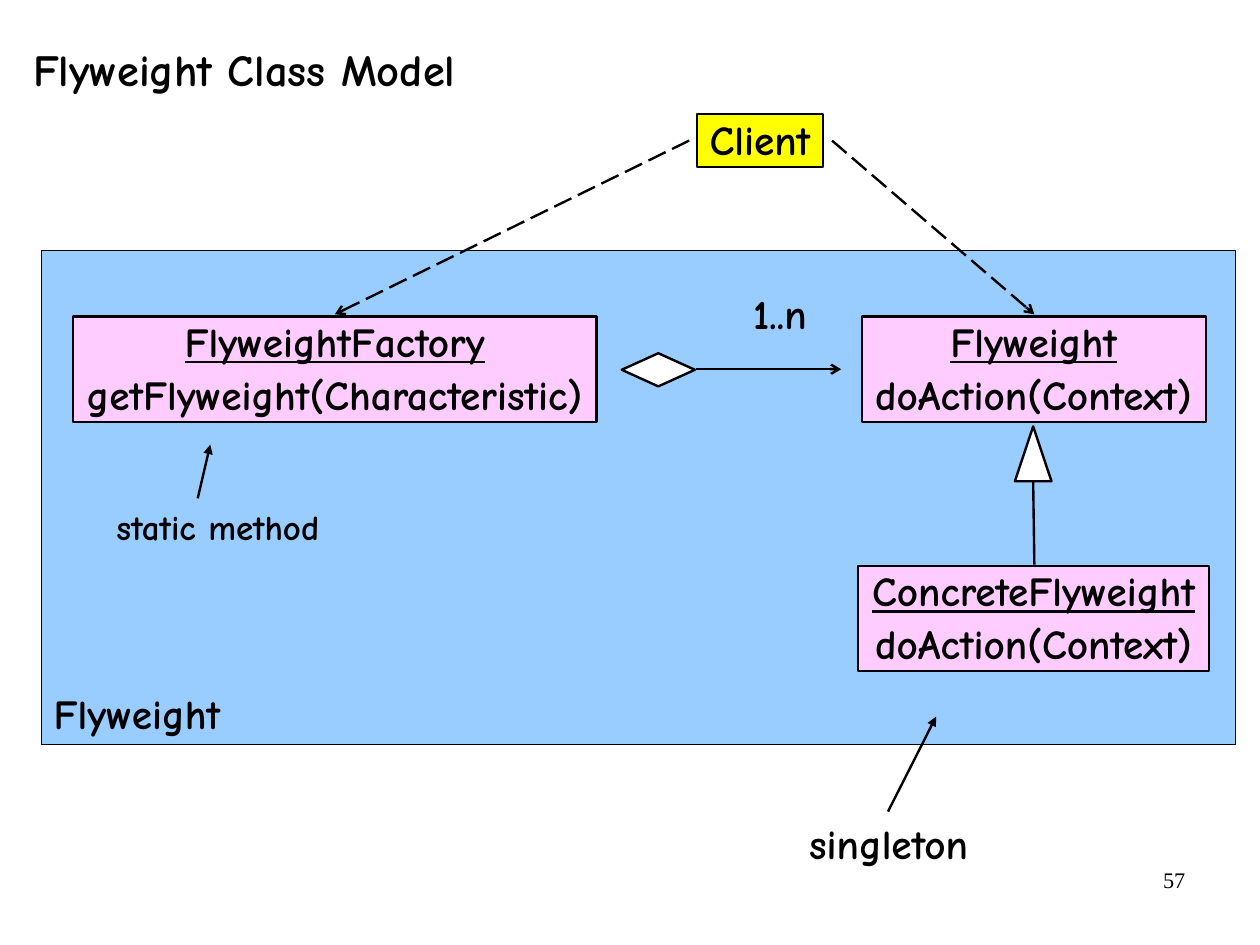
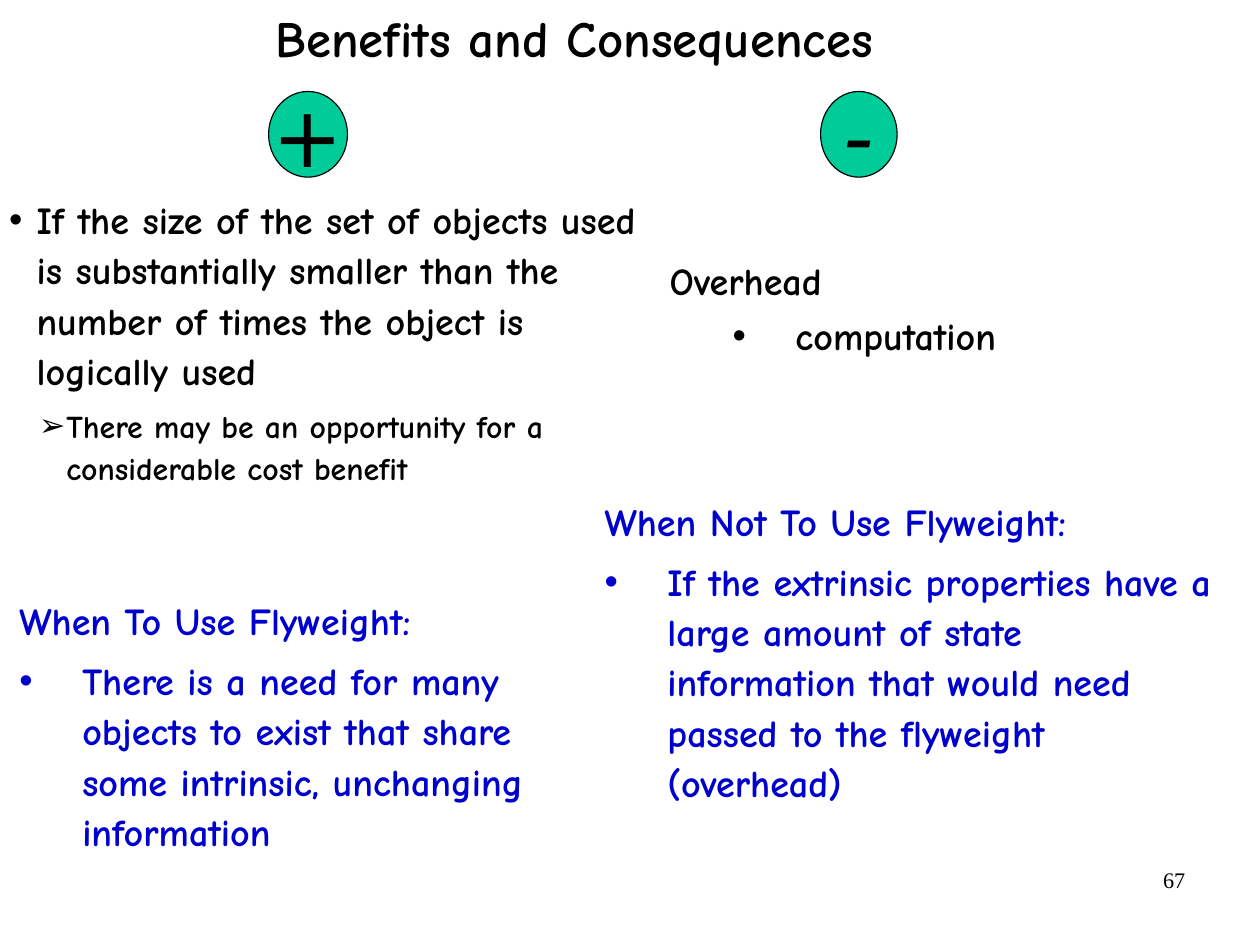
from pptx import Presentation
from pptx import util as u
from pptx.dml.color import RGBColor
from pptx.enum import dml, shapes, text
from pptx.oxml.ns import qn
from lxml import etree

PX = 9144  # EMU per px, 100 px to the inch
COLORS = {"ink": "000000", "panel": "99CCFF", "class": "FFCCFF", "client": "FFFF00",
          "symbol": "FFFFFF", "sign": "00CC99", "advice": "0000CC"}
STYLE = {"size": 26, "font": "Comic Neue", "bold": True, "italic": False, "underline": False,
         "color": "ink", "align": text.PP_ALIGN.LEFT, "spacing": 1.0, "before": 0,
         "margin": 0, "hang": 0, "bullet": None, "level": 0}
TOP, MIDDLE, BOTTOM = text.MSO_ANCHOR.TOP, text.MSO_ANCHOR.MIDDLE, text.MSO_ANCHOR.BOTTOM
CENTER, RIGHT = text.PP_ALIGN.CENTER, text.PP_ALIGN.RIGHT
FORM = shapes.MSO_SHAPE


def write(shape, lines, anchor=TOP, wrap=False, insets=(11, 6, 11, 6), **shared):
    """Fill a shape with (text, own style) lines on top of a shared style."""
    frame = shape.text_frame
    frame.auto_size = text.MSO_AUTO_SIZE.NONE
    frame.word_wrap = wrap
    frame.vertical_anchor = anchor
    (frame.margin_left, frame.margin_top,
     frame.margin_right, frame.margin_bottom) = [v * PX for v in insets]
    for i, (words, own) in enumerate(lines):
        style = {**STYLE, **shared, **own}
        p = frame.add_paragraph() if i else frame.paragraphs[0]
        p.text = words
        p.level = style["level"]
        p.alignment = style["align"]
        p.line_spacing = style["spacing"]
        p.space_before = u.Pt(style["before"] if i else 0)
        p.space_after = u.Pt(0)
        props = p._p.get_or_add_pPr()
        props.set("marL", str(style["margin"] * PX))
        props.set("indent", str(-style["hang"] * PX))
        if style["bullet"]:
            tint = etree.SubElement(props, qn("a:buClr"))
            etree.SubElement(tint, qn("a:srgbClr"), val=COLORS[style["color"]])
            etree.SubElement(props, qn("a:buChar"), char=style["bullet"])
        else:
            etree.SubElement(props, qn("a:buNone"))
        p.font.name = style["font"]
        p.font.size = u.Pt(style["size"])
        p.font.bold = style["bold"]
        p.font.italic = style["italic"]
        p.font.underline = style["underline"]
        p.font.color.rgb = RGBColor.from_string(COLORS[style["color"]])


def draw(slide, form, box, fill, weight):
    """Add a filled, black-edged preset shape."""
    shape = slide.shapes.add_shape(form, *[v * PX for v in box])
    shape.shadow.inherit = False
    shape.fill.solid()
    shape.fill.fore_color.rgb = RGBColor.from_string(COLORS[fill])
    shape.line.color.rgb = RGBColor.from_string(COLORS["ink"])
    shape.line.width = u.Pt(weight)
    return shape


# Page of 28 by 21 cm
prs = Presentation()
prs.slide_width, prs.slide_height = u.Emu(10080625), u.Emu(7559675)
model = prs.slides.add_slide(prs.slide_layouts.get_by_name("Title Only"))
benefits = prs.slides.add_slide(prs.slide_layouts.get_by_name("Comparison"))

# Titles and page numbers
for slide, title, box, title_style, number in [
    (model, "Flyweight Class Model", (18, 16, 476, 73),
     {"size": 28, "spacing": 0.88, "anchor": BOTTOM, "insets": (11, 5, 11, 5)}, "57"),
    (benefits, "Benefits and Consequences", (230, 0, 546, 64), {"size": 32}, "67"),
]:
    heading = slide.shapes.title
    heading.left, heading.top, heading.width, heading.height = [v * PX for v in box]
    write(heading, [(title, {})], **title_style)
    page = slide.shapes.add_textbox(*[v * PX for v in (790, 753, 257, 57)])
    write(page, [(number, {})], wrap=True, insets=(10, 5, 10, 5), size=14,
          font="Times New Roman", bold=False, align=RIGHT)

# Class model: package panel
package = draw(model, FORM.RECTANGLE, (36, 219, 1045, 432), "panel", 0.75)
write(package, [("Flyweight", {})], anchor=BOTTOM, wrap=True)

# Class model: classes, name underlined above its method
for box, fill, name, method in [
    ((754, 277, 301, 92), "class", "Flyweight", "doAction(Context)"),
    ((751, 495, 307, 92), "class", "ConcreteFlyweight", "doAction(Context)"),
    ((64, 277, 458, 92), "class", "FlyweightFactory", "getFlyweight(Characteristic)"),
    ((610, 100, 110, 46), "client", "Client", None),
]:
    members = [(name, {"underline": method is not None})]
    if method:
        members.append((method, {}))
    write(draw(model, FORM.RECTANGLE, box, fill, 1.5), members, anchor=MIDDLE,
          insets=(11, 17, 11, 6), align=CENTER, spacing=0.55, before=16.2)

# Class model: inheritance and aggregation symbols
draw(model, FORM.FLOWCHART_EXTRACT, (888, 373, 32, 48), "symbol", 1.5)
draw(model, FORM.FLOWCHART_DECISION, (544, 309, 64, 29), "symbol", 1.5)

# Class model: relations and pointers
for ends, head, dashed in [
    ((609, 323, 736, 323), "arrow", False),
    ((904, 421, 905, 494), None, False),
    ((603, 123, 293, 275), "arrow", True),
    ((728, 123, 905, 275), "arrow", True),
    ((173, 436, 184, 389), "triangle", False),
    ((777, 710, 819, 627), "triangle", False),
]:
    relation = model.shapes.add_connector(shapes.MSO_CONNECTOR.STRAIGHT,
                                          *[v * PX for v in ends])
    relation.line.color.rgb = RGBColor.from_string(COLORS["ink"])
    relation.line.width = u.Pt(1.5)
    if dashed:
        relation.line.dash_style = dml.MSO_LINE.LONG_DASH
    outline = relation.element.spPr.find(qn("a:ln"))
    if head:
        etree.SubElement(outline, qn("a:tailEnd"), type=head)
    etree.SubElement(relation.element.spPr, qn("a:effectLst"))

# Class model: labels
for words, box, size in [
    ("1..n", (648, 246, 69, 54), 26),
    ("static method", (91, 436, 200, 48), 22),
    ("singleton", (697, 710, 162, 54), 26),
]:
    label = model.shapes.add_textbox(*[v * PX for v in box])
    write(label, [(words, {})], size=size)

# Benefits: plus and minus signs
for sign, box in [("+", (235, 80, 69, 75)), ("-", (718, 80, 67, 75))]:
    write(draw(benefits, FORM.OVAL, box, "sign", 0.75), [(sign, {})], anchor=MIDDLE,
          size=53, font="DejaVu Sans", bold=False, italic=True, align=CENTER)

# Benefits: four lists, one per body placeholder
point = {"bullet": "•", "margin": 55, "hang": 55}
for idx, box, color, spacing, lines in [
    (1, (-3, 162, 575, 270), "ink", 1.1, [
        ("If the size of the set of objects used is substantially smaller than the "
         "number of times the object is logically used",
         {"bullet": "•", "margin": 24, "hang": 24}),
        ("There may be an opportunity for a considerable cost benefit",
         {"bullet": "➢", "margin": 50, "hang": 24, "level": 1, "size": 20})]),
    (2, (575, 219, 527, 100), "ink", 1.0, [
        ("Overhead", {}),
        ("computation", {**point, "margin": 110, "level": 1})]),
    (3, (6, 513, 505, 239), "advice", 1.1, [
        ("When To Use Flyweight:", {}),
        ("There is a need for many objects to exist that share some intrinsic, "
         "unchanging information", point)]),
    (4, (518, 426, 558, 283), "advice", 1.1, [
        ("When Not To Use Flyweight:", {}),
        ("If the extrinsic properties have a large amount of state information that "
         "would need passed to the flyweight (overhead)", point)]),
]:
    column = benefits.placeholders[idx]
    column.left, column.top, column.width, column.height = [v * PX for v in box]
    write(column, lines, wrap=True, size=24, color=color, spacing=spacing, before=6)

prs.save("out.pptx")
